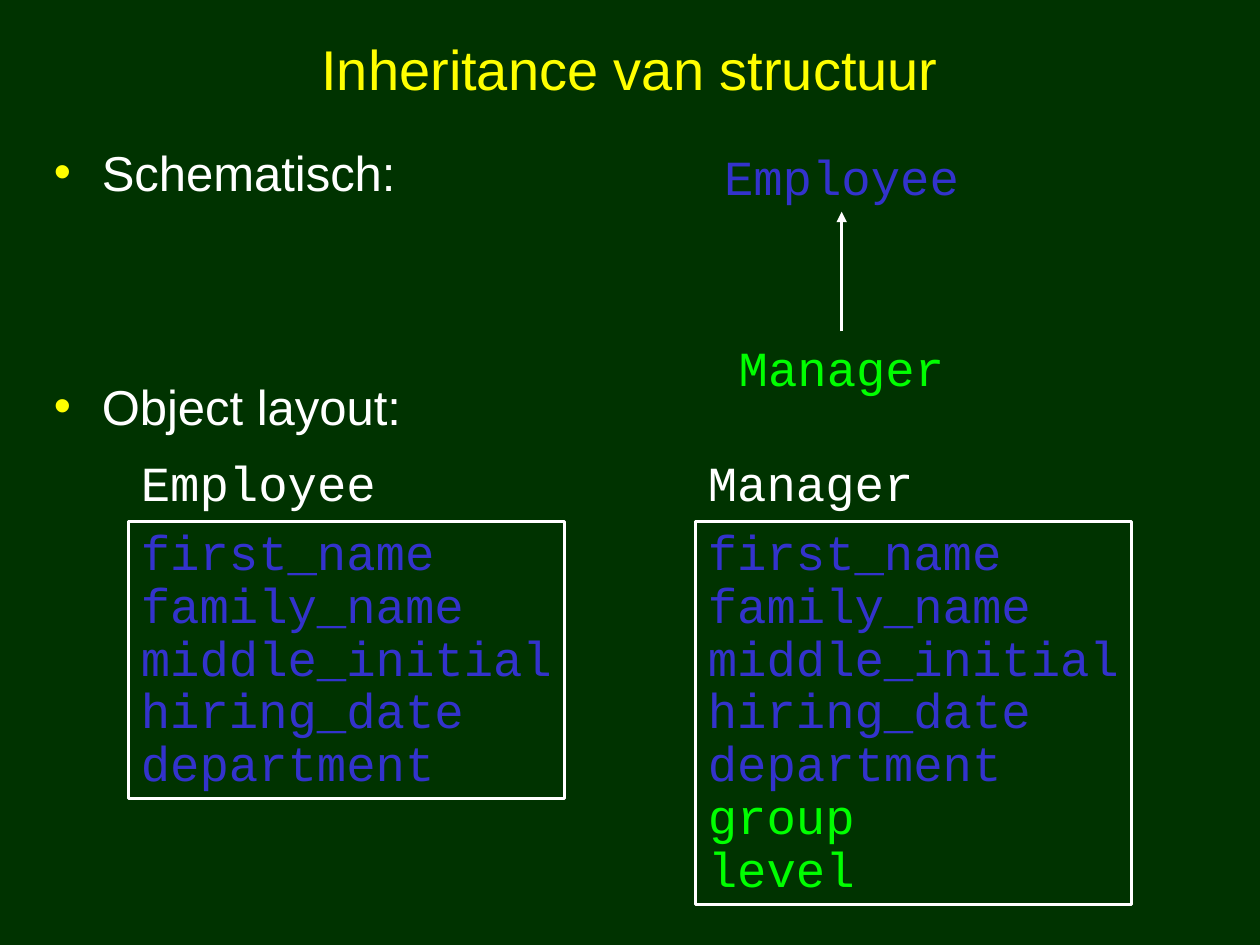
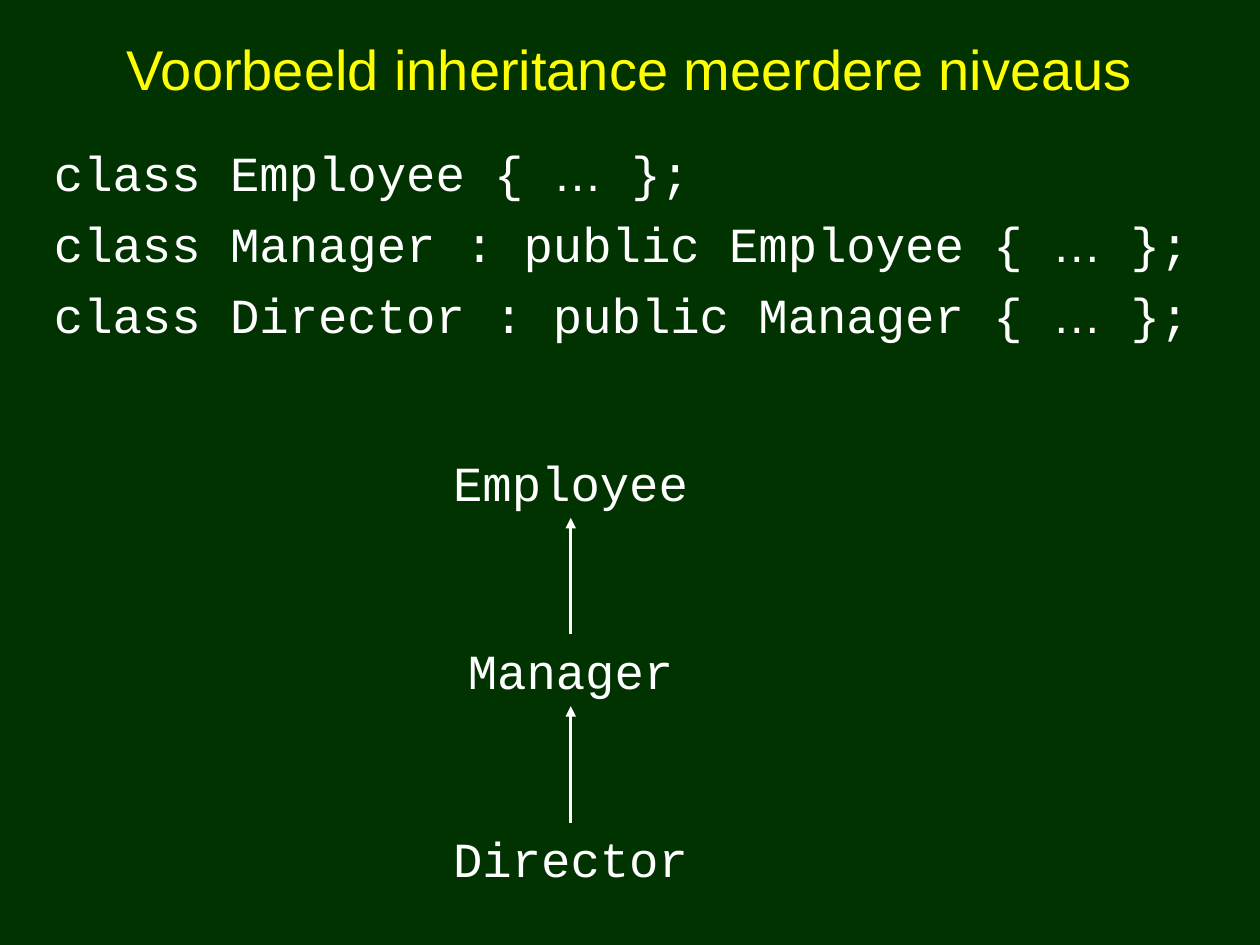
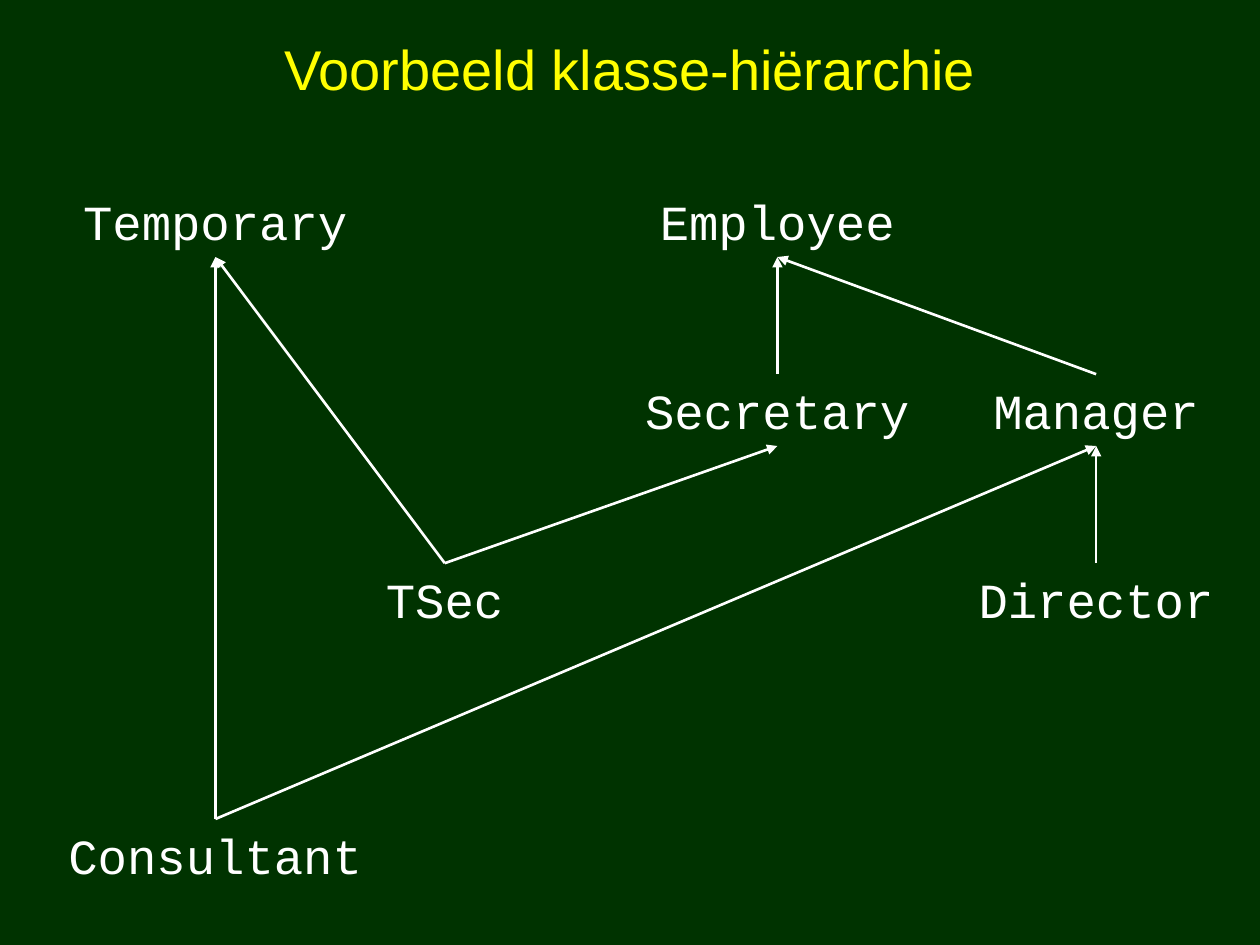
import pptx
import pptx.util
import pptx.dml.color
import pptx.enum.text
import pptx.enum.shapes
import pptx.oxml.ns
import lxml.etree

RGBColor = pptx.dml.color.RGBColor
Inches = pptx.util.Inches
Pt = pptx.util.Pt
PP_ALIGN = pptx.enum.text.PP_ALIGN
MSO_ANCHOR = pptx.enum.text.MSO_ANCHOR
MSO_AUTO_SIZE = pptx.enum.text.MSO_AUTO_SIZE
qn = pptx.oxml.ns.qn

DARK_GREEN = RGBColor(0x00, 0x33, 0x00)
YELLOW = RGBColor(0xFF, 0xFF, 0x00)
WHITE = RGBColor(0xFF, 0xFF, 0xFF)
BLUE = RGBColor(0x33, 0x33, 0xCC)
GREEN = RGBColor(0x00, 0xFF, 0x00)

TITLE = {"name": "Arial", "size": Pt(32), "color": YELLOW}
PROSE = {"name": "Arial", "size": Pt(28), "color": WHITE}
CODE = {"name": "Courier New", "size": Pt(28), "color": WHITE}
LABEL_HEIGHT = 0.57
CHAR_WIDTH = 0.233
HANGING = 0.38


def add_span(para, text, values):
    span = para.add_run()
    span.text = text
    for key, value in values.items():
        if key == "color":
            span.font.color.rgb = value
        else:
            setattr(span.font, key, value)


def add_label(page, name, left, top, color):
    width = 0.2 + CHAR_WIDTH * len(name)
    box = page.shapes.add_textbox(Inches(left), Inches(top), Inches(width), Inches(LABEL_HEIGHT))
    box.text_frame.word_wrap = False
    box.text_frame.auto_size = MSO_AUTO_SIZE.SHAPE_TO_FIT_TEXT
    add_span(box.text_frame.paragraphs[0], name, CODE | {"color": color})


deck = pptx.Presentation()
deck.slide_width, deck.slide_height = Inches(10), Inches(7.5)
deck.slide_master.background.fill.solid()
deck.slide_master.background.fill.fore_color.rgb = DARK_GREEN
title_only = deck.slide_layouts.get_by_name("Title Only")

topics = [
    {
        "title": "Inheritance van structuur",
        "bullets": True,
        "lines": [("Schematisch:", 0), ("Object layout:", 100)],
        "classes": {"Employee": (6.68, 1.11, BLUE), "Manager": (6.68, 2.63, GREEN)},
        "parents": [("Manager", "Employee")],
    },
    {
        "title": "Voorbeeld inheritance meerdere niveaus",
        "bullets": False,
        "lines": [
            ("class Employee { … };", 0),
            ("class Manager : public Employee { … };", 7),
            ("class Director : public Manager { … };", 7),
        ],
        "classes": {
            name: (4.53, 3.54 + 1.495 * level, WHITE)
            for level, name in enumerate(["Employee", "Manager", "Director"])
        },
        "parents": [("Director", "Manager"), ("Manager", "Employee")],
    },
    {
        "title": "Voorbeeld klasse-hiërarchie",
        "bullets": False,
        "lines": [],
        "classes": {
            name: (center, top, WHITE)
            for name, center, top in [
                ("Temporary", 1.71, 1.47),
                ("Employee", 6.17, 1.47),
                ("Secretary", 6.17, 2.97),
                ("Manager", 8.7, 2.97),
                ("TSec", 3.53, 4.47),
                ("Director", 8.7, 4.47),
                ("Consultant", 1.71, 6.5),
            ]
        },
        "parents": [
            ("Director", "Manager"),
            ("Manager", "Employee"),
            ("Secretary", "Employee"),
            ("TSec", "Secretary"),
            ("TSec", "Temporary"),
            ("Consultant", "Temporary"),
            ("Consultant", "Manager"),
        ],
    },
]

for topic in topics:
    page = deck.slides.add_slide(title_only)
    title = page.shapes.title
    title.left, title.top, title.width, title.height = 0, 0, deck.slide_width, Inches(1.08)
    title.text_frame.vertical_anchor = MSO_ANCHOR.MIDDLE
    title.text_frame.paragraphs[0].alignment = PP_ALIGN.CENTER
    add_span(title.text_frame.paragraphs[0], topic["title"], TITLE)

    if topic["lines"]:
        body = page.shapes.add_textbox(Inches(0.33), Inches(1.08), Inches(9.42), Inches(6.42))
        body.text_frame.word_wrap = True
        for index, (line, gap) in enumerate(topic["lines"]):
            para = body.text_frame.add_paragraph() if index else body.text_frame.paragraphs[0]
            properties = para._p.get_or_add_pPr()
            properties.set("marL", str(Inches(HANGING)))
            properties.set("indent", str(-Inches(HANGING)))
            para.space_before = Pt(gap)
            if topic["bullets"]:
                tint = lxml.etree.SubElement(properties, qn("a:buClr"))
                lxml.etree.SubElement(tint, qn("a:srgbClr"), val=str(YELLOW))
                lxml.etree.SubElement(properties, qn("a:buFont"), typeface="Arial")
                lxml.etree.SubElement(properties, qn("a:buChar"), char="•")
                add_span(para, line, PROSE)
            else:
                for part, values in zip(line.partition("…"), [CODE, PROSE, CODE]):
                    add_span(para, part, values)

    for name, (center, top, color) in topic["classes"].items():
        add_label(page, name, center - 0.1 - CHAR_WIDTH * len(name) / 2, top, color)

    for child, parent in topic["parents"]:
        child_x, child_y, _ = topic["classes"][child]
        parent_x, parent_y, _ = topic["classes"][parent]
        arrow = page.shapes.add_connector(
            pptx.enum.shapes.MSO_CONNECTOR.STRAIGHT,
            Inches(child_x), Inches(child_y),
            Inches(parent_x), Inches(parent_y + LABEL_HEIGHT),
        )
        arrow.line.color.rgb = WHITE
        arrow.line.width = Pt(1.5)
        lxml.etree.SubElement(arrow.line._get_or_add_ln(), qn("a:tailEnd"), type="triangle")
        lxml.etree.SubElement(arrow._element.spPr, qn("a:effectLst"))

inherited = ["first_name", "family_name", "middle_initial", "hiring_date", "department"]
layouts = [("Employee", 1.02, []), ("Manager", 5.52, ["group", "level"])]
for name, left, added in layouts:
    page = deck.slides[0]
    add_label(page, name, left, 3.54, WHITE)
    fields = inherited + added
    frame = page.shapes.add_shape(
        pptx.enum.shapes.MSO_SHAPE.RECTANGLE,
        Inches(left), Inches(4.14), Inches(3.46), Inches(0.1 + 0.42 * len(fields)),
    )
    frame.shadow.inherit = False
    frame.fill.background()
    frame.line.color.rgb = WHITE
    frame.line.width = Pt(1.5)
    frame.text_frame.word_wrap = False
    frame.text_frame.auto_size = MSO_AUTO_SIZE.SHAPE_TO_FIT_TEXT
    frame.text_frame.vertical_anchor = MSO_ANCHOR.TOP
    for index, field in enumerate(fields):
        para = frame.text_frame.add_paragraph() if index else frame.text_frame.paragraphs[0]
        para.alignment = PP_ALIGN.LEFT
        para.line_spacing = 0.9
        add_span(para, field, CODE | {"color": GREEN if field in added else BLUE})

deck.save("out.pptx")
